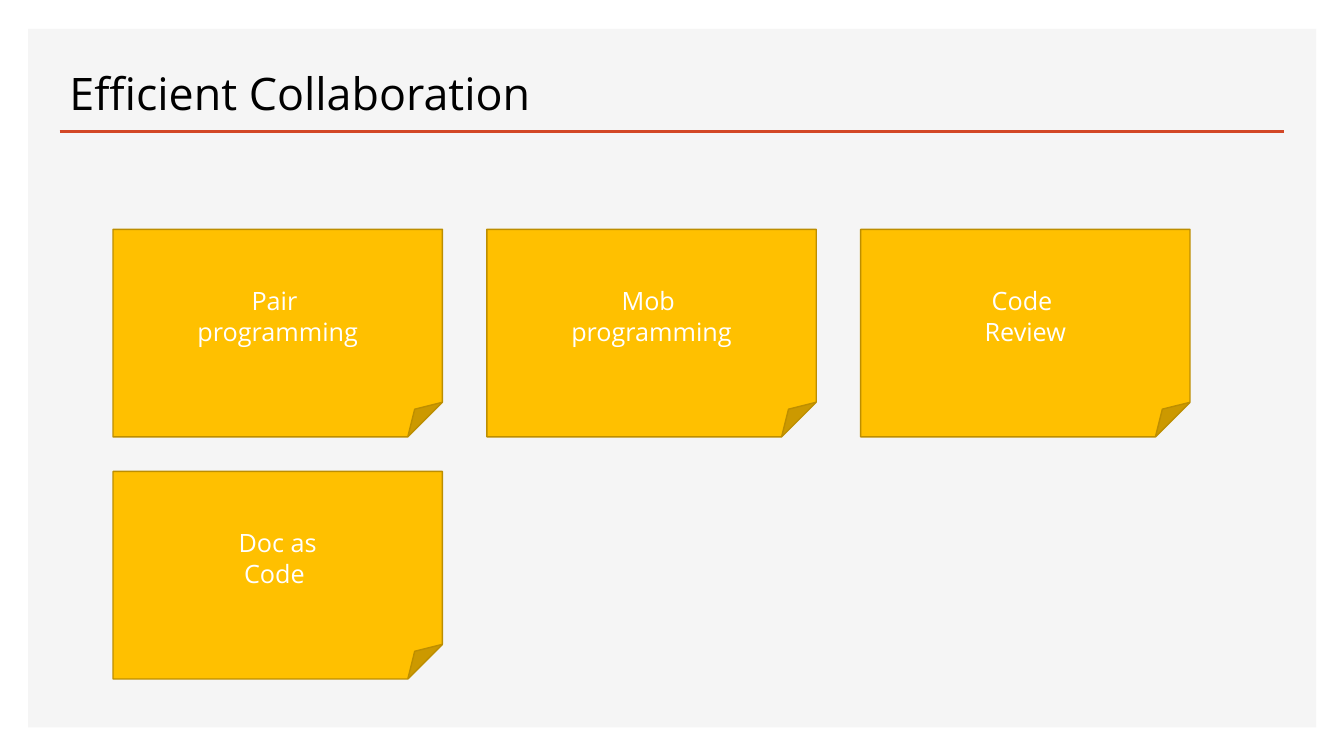
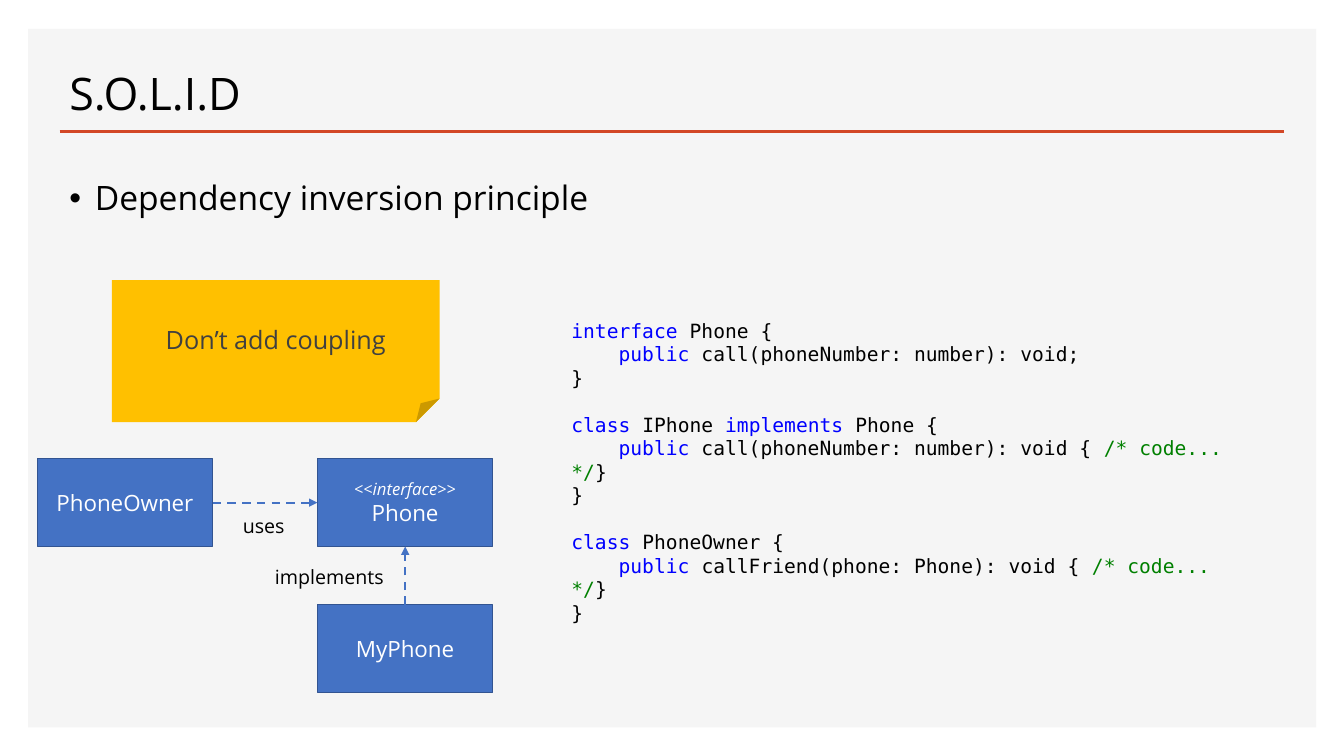
from dataclasses import dataclass

from lxml import etree
from pptx import Presentation
from pptx.dml.color import RGBColor
from pptx.enum import dml, shapes, text
from pptx.oxml import ns
from pptx.util import Cm, Pt


@dataclass(frozen=True)
class Theme:
    font: str = "Open Sans"
    code_font: str = "DejaVu Sans Mono"
    panel: str = "F5F5F5"
    rule: str = "D24726"
    ink: str = "000000"
    white: str = "FFFFFF"
    note: str = "FFC000"
    note_line: str = "BD8E00"
    note_ink: str = "404040"
    block: str = "4472C4"
    block_line: str = "325491"
    keyword: str = "0000FF"
    comment: str = "008000"
    title_size: int = 32
    body_size: int = 24
    note_size: int = 18
    block_size: int = 16
    small_size: int = 14
    stereotype_size: int = 12


THEME = Theme()
KEYWORD, PLAIN, COMMENT = THEME.keyword, THEME.ink, THEME.comment

NOTES = ["Pair \nprogramming", "Mob \nprogramming", "Code \nReview", "Doc as\nCode "]

CLOSING = [("}", PLAIN)]
CODE_BLOCKS = [
    [
        [("interface", KEYWORD), (" Phone {", PLAIN)],
        [("    public", KEYWORD), (" call(phoneNumber: number): void;", PLAIN)],
        CLOSING,
    ],
    [
        [("class ", KEYWORD), ("IPhone ", PLAIN), ("implements", KEYWORD), (" Phone {", PLAIN)],
        [("    public", KEYWORD), (" call(phoneNumber: number): void { ", PLAIN),
         ("/* code... */", COMMENT), ("}", PLAIN)],
        CLOSING,
    ],
    [
        [("class ", KEYWORD), ("PhoneOwner {", PLAIN)],
        [("    public ", KEYWORD), ("callFriend(phone: Phone): void { ", PLAIN),
         ("/* code... */", COMMENT), ("}", PLAIN)],
        CLOSING,
    ],
]


def color(value):
    return RGBColor.from_string(value)


def format_span(span, size, ink, font=THEME.font):
    span.font.name = font
    span.font.size = Pt(size)
    span.font.color.rgb = color(ink)


def format_frame(frame, size, ink, align=text.PP_ALIGN.LEFT):
    for para in frame.paragraphs:
        para.alignment = align
        for span in para.runs:
            format_span(span, size, ink)


def add_text(page, words, left, top, width, height, size, wrap=True):
    box = page.shapes.add_textbox(Cm(left), Cm(top), Cm(width), Cm(height))
    frame = box.text_frame
    frame.word_wrap = wrap
    frame.text = words
    format_frame(frame, size, THEME.ink)
    return frame


def add_filled(page, kind, left, top, width, height, fill, line=None):
    shape = page.shapes.add_shape(kind, Cm(left), Cm(top), Cm(width), Cm(height))
    shape.shadow.inherit = False
    shape.fill.solid()
    shape.fill.fore_color.rgb = color(fill)
    if line:
        shape.line.color.rgb = color(line)
        shape.line.width = Pt(1)
    else:
        shape.line.fill.background()
    return shape


def fill_centred(shape, words, size, ink):
    frame = shape.text_frame
    frame.text = words
    frame.vertical_anchor = text.MSO_ANCHOR.MIDDLE
    format_frame(frame, size, ink, text.PP_ALIGN.CENTER)


def add_note(page, words, left, top, width, height, ink, line=None):
    note = add_filled(page, shapes.MSO_SHAPE.FOLDED_CORNER,
                      left, top, width, height, THEME.note, line)
    fill_centred(note, words, THEME.note_size, ink)


def add_block(page, words, left, top):
    block = add_filled(page, shapes.MSO_SHAPE.RECTANGLE,
                       left, top, 4.42, 2.21, THEME.block, THEME.block_line)
    fill_centred(block, words, THEME.block_size, THEME.white)
    return block


def add_line(page, start, end, ink, width):
    line = page.shapes.add_connector(
        shapes.MSO_CONNECTOR.STRAIGHT, *(Cm(value) for value in (*start, *end)))
    line.line.color.rgb = color(ink)
    line.line.width = Pt(width)
    etree.SubElement(line._element.spPr, ns.qn("a:effectLst"))
    return line


def add_dashed_arrow(page, source, source_side, target, target_side):
    arrow = add_line(page, (0, 0), (0, 0), THEME.block, 1.5)
    arrow.begin_connect(source, source_side)
    arrow.end_connect(target, target_side)
    arrow.line.dash_style = dml.MSO_LINE.DASH
    outline = arrow.line._get_or_add_ln()
    etree.SubElement(outline, ns.qn("a:tailEnd"), type="triangle")


def add_label(page, words, left, top, width):
    frame = add_text(page, words, left, top, width, 0.86, THEME.small_size, wrap=False)
    frame.auto_size = text.MSO_AUTO_SIZE.SHAPE_TO_FIT_TEXT


def add_bullet(page, words):
    frame = add_text(page, words, 1.5, 4.45, 30.86, 1.5, THEME.body_size)
    para = frame.paragraphs[0]
    para.line_spacing = 0.9
    properties = para._p.get_or_add_pPr()
    properties.set("marL", str(Cm(0.64)))
    properties.set("indent", str(-Cm(0.64)))
    etree.SubElement(properties, ns.qn("a:buFont"), typeface="Arial")
    etree.SubElement(properties, ns.qn("a:buChar"), char="•")


def add_code(page, blocks, left, top, width, height):
    box = page.shapes.add_textbox(Cm(left), Cm(top), Cm(width), Cm(height))
    frame = box.text_frame
    frame.word_wrap = True
    para = None
    for block in blocks:
        for number, line in enumerate(block):
            first = para is None
            para = frame.paragraphs[0] if first else frame.add_paragraph()
            if number == 0 and not first:
                para.space_before = Pt(16.8)
            for words, ink in line:
                span = para.add_run()
                span.text = words
                format_span(span, THEME.small_size, ink, THEME.code_font)


def add_page(deck, title):
    page = deck.slides.add_slide(deck.slide_layouts[6])
    add_filled(page, shapes.MSO_SHAPE.RECTANGLE, 0.71, 0.73, 32.46, 17.6, THEME.panel)
    add_line(page, (1.5, 3.32), (32.36, 3.32), THEME.rule, 2)
    frame = add_text(page, title, 1.5, 1, 30.86, 2.16, THEME.title_size)
    frame.vertical_anchor = text.MSO_ANCHOR.BOTTOM
    frame.paragraphs[0].line_spacing = 0.9
    return page


def build_collaboration(deck):
    page = add_page(deck, "Efficient Collaboration")
    for index, words in enumerate(NOTES):
        row, column = divmod(index, 3)
        add_note(page, words, 2.85 + column * 9.42, 5.78 + row * 6.1, 8.3, 5.23,
                 THEME.white, THEME.note_line)


def build_solid(deck):
    page = add_page(deck, "S.O.L.I.D")
    add_bullet(page, "Dependency inversion principle")
    add_code(page, CODE_BLOCKS, 14.15, 7.9, 17.37, 6.83)
    add_note(page, "Don’t add coupling", 2.82, 7.06, 8.26, 3.58, THEME.note_ink)

    owner = add_block(page, "PhoneOwner", 0.94, 11.56)
    interface = add_block(page, "<<interface>>\nPhone", 8, 11.56)
    implementation = add_block(page, "MyPhone", 8, 15.24)
    stereotype = interface.text_frame.paragraphs[0].runs[0]
    stereotype.font.size = Pt(THEME.stereotype_size)
    stereotype.font.italic = True

    add_dashed_arrow(page, owner, 3, interface, 1)
    add_dashed_arrow(page, implementation, 0, interface, 2)
    add_label(page, "implements", 6.68, 14.1, 3.28)
    add_label(page, "uses", 5.87, 12.83, 1.57)


def main():
    deck = Presentation()
    deck.slide_width = Cm(33.87)
    deck.slide_height = Cm(19.05)
    build_collaboration(deck)
    build_solid(deck)
    deck.save("out.pptx")


if __name__ == "__main__":
    main()
